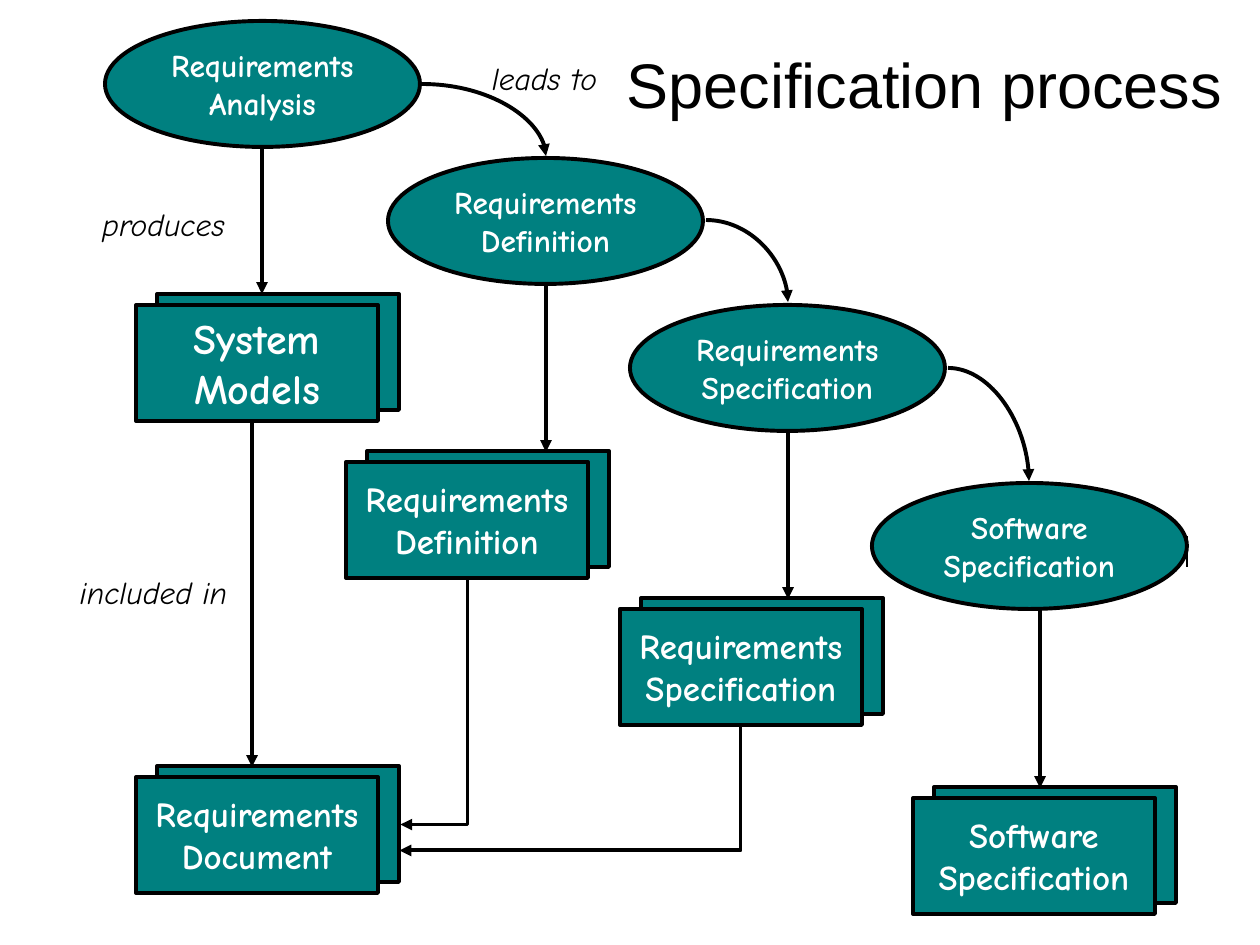
import pptx
import pptx.util
import pptx.dml.color
import pptx.enum.shapes
import pptx.enum.text
import pptx.oxml.ns
import lxml.etree

SCALE = 914400 / 126
KIND = pptx.enum.shapes.MSO_SHAPE
LINK = pptx.enum.shapes.MSO_CONNECTOR
TEAL, BLACK, WHITE = "008080", "000000", "FFFFFF"


def paint(part, shade):
    if hasattr(part, "solid"):
        part.solid()
        part.fore_color.rgb = pptx.dml.color.RGBColor.from_string(shade)
    else:
        part.rgb = pptx.dml.color.RGBColor.from_string(shade)


def write(shape, lines, size, shade, face="Comic Neue", bold=False, slant=False, wrap=False):
    frame = shape.text_frame
    frame.word_wrap = wrap
    frame.vertical_anchor = pptx.enum.text.MSO_ANCHOR.MIDDLE
    for i, line in enumerate(lines):
        para = frame.paragraphs[0] if i == 0 else frame.add_paragraph()
        para.alignment = pptx.enum.text.PP_ALIGN.CENTER
        run = para.add_run()
        run.text = line
        run.font.size = pptx.util.Pt(size)
        run.font.name = face
        run.font.bold = bold
        run.font.italic = slant
        paint(run.font.color, shade)


deck = pptx.Presentation()
deck.slide_width = pptx.util.Inches(10)
deck.slide_height = pptx.util.Inches(7.5)
slide = deck.slides.add_slide(deck.slide_layouts[5])

title = slide.shapes.title
title.left, title.top, title.width, title.height = [round(n * SCALE) for n in (599, 10, 651, 147)]
write(title, ["Specification process"], 36, BLACK, face="Arial", wrap=True)

# kind, preset, start x, start y, end x, end y, turn, width, arrow
links = [
    (LINK.STRAIGHT, "line", 1187, 536, 1187, 567, 0, 1, False),
    (LINK.CURVE, "curvedConnector2", 422, 84, 546, 156, 0, 2.25, True),
    (LINK.CURVE, "curvedConnector2", 706, 220, 788, 302, 0, 2.25, True),
    (LINK.CURVE, "curvedConnector2", 948, 368, 1029, 481, 0, 2.25, True),
    (LINK.STRAIGHT, "line", 262, 147, 262, 294, 0, 2.25, True),
    (LINK.STRAIGHT, "line", 546, 284, 546, 452, 0, 2.25, True),
    (LINK.STRAIGHT, "line", 788, 431, 788, 599, 0, 2.25, True),
    (LINK.STRAIGHT, "line", 252, 420, 252, 767, 0, 2.25, True),
    (LINK.STRAIGHT, "line", 1040, 609, 1040, 788, 0, 2.25, True),
    (LINK.ELBOW, "bentConnector2", 312, 669, 556, 735, 90, 2.25, True),
    (LINK.ELBOW, "bentConnector2", 508, 617, 632, 959, 90, 2.25, True),
]
links[-2] = (LINK.ELBOW, "bentConnector2", 312, 669, 556, 736, 90, 2.25, True)
links[-1] = (LINK.ELBOW, "bentConnector2", 508, 618, 632, 959, 90, 2.25, True)
for kind, preset, x, y, right, low, turn, width, arrow in links:
    link = slide.shapes.add_connector(kind, *[round(n * SCALE) for n in (x, y, right, low)])
    paint(link.line.fill, BLACK)
    link.line.width = pptx.util.Pt(width)
    props = link._element.spPr
    props.find(pptx.oxml.ns.qn("a:prstGeom")).set("prst", preset)
    if turn:
        props.find(pptx.oxml.ns.qn("a:xfrm")).set("rot", str(turn * 60000))
    if arrow:
        tip = lxml.etree.SubElement(link.line._get_or_add_ln(), pptx.oxml.ns.qn("a:tailEnd"))
        tip.set("type", "triangle")
    lxml.etree.SubElement(props, pptx.oxml.ns.qn("a:effectLst"))

steps = [
    (105, 21, ["Requirements", "Analysis"]),
    (388, 158, ["Requirements", "Definition"]),
    (630, 305, ["Requirements", "Specification"]),
    (872, 483, ["Software", "Specification"]),
]
papers = [
    (136, 305, 24, ["System", "Models"]),
    (346, 462, 20, ["Requirements", "Definition"]),
    (620, 609, 20, ["Requirements", "Specification"]),
    (136, 777, 20, ["Requirements", "Document"]),
    (913, 798, 20, ["Software", "Specification"]),
]
nodes = [(slide.shapes, KIND.OVAL, x, y, 315, 126, 18, lines) for x, y, lines in steps]
for x, y, size, lines in papers:
    group = slide.shapes.add_group_shape().shapes
    nodes.append((group, KIND.RECTANGLE, x + 21, y - 11, 242, 116, size, []))
    nodes.append((group, KIND.RECTANGLE, x, y, 242, 116, size, lines))
for home, kind, x, y, wide, high, size, lines in nodes:
    node = home.add_shape(kind, *[round(n * SCALE) for n in (x, y, wide, high)])
    node.shadow.inherit = False
    paint(node.fill, TEAL)
    paint(node.line.fill, BLACK)
    node.line.width = pptx.util.Pt(2.25)
    write(node, lines, size, WHITE, bold=True)

labels = [
    (67, 567, 173, "included in"),
    (89, 199, 149, "produces"),
    (479, 53, 131, "leads to"),
]
for x, y, wide, text in labels:
    label = slide.shapes.add_textbox(*[round(n * SCALE) for n in (x, y, wide, 50)])
    write(label, [text], 18, BLACK, slant=True)

deck.save("out.pptx")
